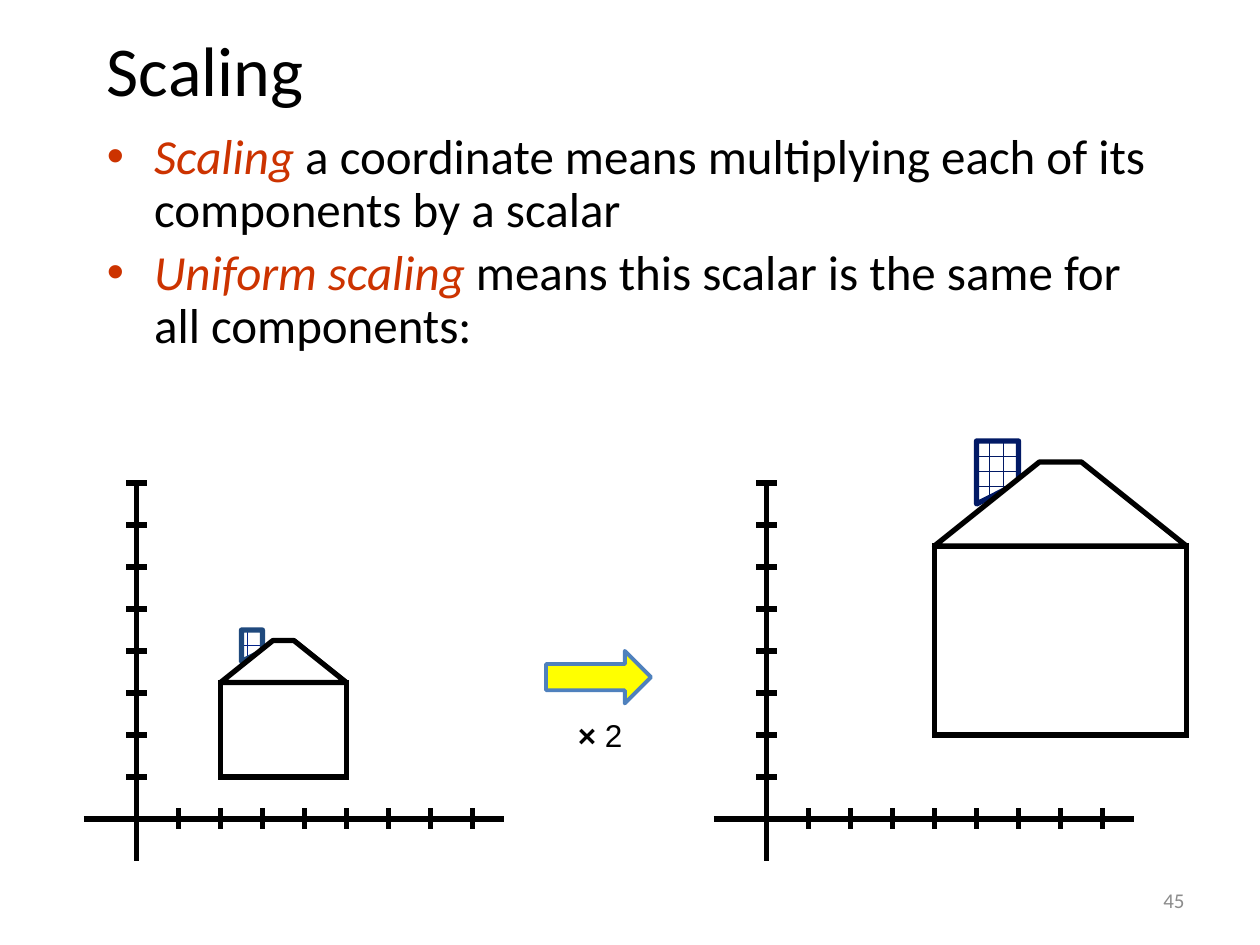
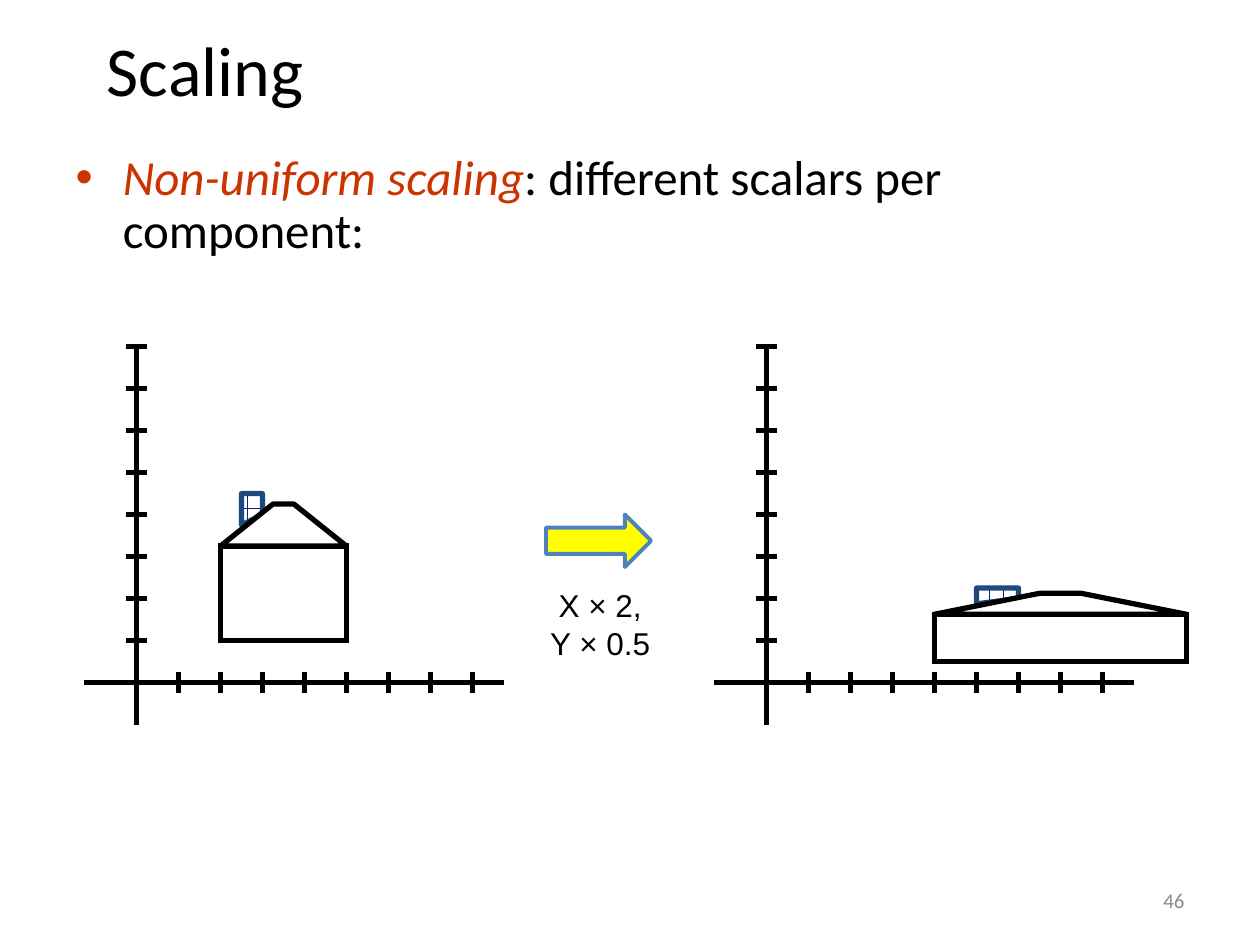
from dataclasses import dataclass
from typing import NamedTuple

from lxml.etree import SubElement
from pptx import Presentation
from pptx.dml.color import RGBColor
from pptx.dml.fill import FillFormat
from pptx.enum.dml import MSO_PATTERN
from pptx.enum.shapes import MSO_CONNECTOR, MSO_SHAPE
from pptx.enum.text import MSO_ANCHOR, MSO_AUTO_SIZE, PP_ALIGN
from pptx.oxml.ns import qn
from pptx.util import Cm, Pt


@dataclass(frozen=True)
class Theme:
    black: str = "000000"
    white: str = "FFFFFF"
    accent: str = "CC3300"
    yellow: str = "FFFF00"
    blue: str = "4F81BD"
    navy: str = "1F497D"
    brick: str = "032389"
    dark: str = "011965"
    grey: str = "8C8C8C"
    body: str = "Calibri"
    label: str = "Arial"
    title_pt: int = 40
    list_pt: int = 28
    label_pt: int = 18
    page_pt: int = 12
    line_pt: float = 3
    arrow_pt: float = 2.25


T = Theme()
UNIT = 2.54 / 3  # one tick of the axes, in cm
TICKS = 8


class Run(NamedTuple):
    text: str
    color: str = T.black
    bold: bool = False
    italic: bool = False


class Box(NamedTuple):
    left: float
    top: float
    width: float
    height: float

    def place(self) -> tuple:
        return tuple(Cm(n) for n in self)


class Grid(NamedTuple):
    """Axes with their origin in cm; points are given in ticks, y upward."""
    left: float
    base: float

    def spot(self, x: float, y: float) -> tuple:
        return Cm(self.left + x * UNIT), Cm(self.base - y * UNIT)


class House(NamedTuple):
    wide: float = 1
    high: float = 1
    brick: str = T.brick
    edge: str = T.navy


class Label(NamedTuple):
    lines: list
    width: float
    height: float


class Page(NamedTuple):
    number: int
    body: Box
    inset: float
    points: list
    base: float
    scaled: House
    label: Label


# House outline in ticks, before scaling
WALL = [(2, 3.25), (5, 1)]
ROOF = [(2, 3.25), (3.25, 4.25), (3.75, 4.25), (5, 3.25)]
STACK = [(2.5, 3.75), (2.5, 4.5), (3, 4.5), (3, 4)]


def rgb(color: str) -> RGBColor:
    return RGBColor.from_string(color)


def paint(fill: FillFormat, color: str) -> None:
    fill.solid()
    fill.fore_color.rgb = rgb(color)


def edge(shape, color: str, width: float = T.line_pt) -> None:
    shape.shadow.inherit = False
    paint(shape.line.fill, color)
    shape.line.width = Pt(width)


def write(par, runs: list, size: int, font: str = T.body) -> None:
    for item in runs:
        run = par.add_run()
        run.text = item.text
        run.font.name = font
        run.font.size = Pt(size)
        run.font.bold = item.bold
        run.font.italic = item.italic
        run.font.color.rgb = rgb(item.color)


def move(shape, box: Box) -> None:
    shape.left, shape.top, shape.width, shape.height = box.place()


def draw_title(slide) -> None:
    title = slide.shapes.title
    move(title, Box(1.9, 0.21, 21.59, 2.33))
    frame = title.text_frame
    frame.auto_size = MSO_AUTO_SIZE.NONE
    frame.vertical_anchor = MSO_ANCHOR.MIDDLE
    par = frame.paragraphs[0]
    par.alignment = PP_ALIGN.LEFT
    write(par, [Run("Scaling")], T.title_pt)


def draw_list(slide, page: Page) -> None:
    body = slide.placeholders[1]
    move(body, page.body)
    frame = body.text_frame
    frame.auto_size = MSO_AUTO_SIZE.NONE
    frame.margin_top = Cm(page.inset)
    for i, runs in enumerate(page.points):
        par = frame.add_paragraph() if i else frame.paragraphs[0]
        par.line_spacing = 0.9
        par.space_before = Pt(0.2 * T.list_pt if i else 0)
        write(par, runs, T.list_pt)


def draw_line(slide, start: tuple, end: tuple) -> None:
    line = slide.shapes.add_connector(MSO_CONNECTOR.STRAIGHT, *start, *end)
    SubElement(line._element.spPr, qn("a:effectLst"))
    line.line.width = Pt(T.line_pt)
    line.line.color.rgb = rgb(T.black)


def draw_axes(slide, grid: Grid) -> None:
    marks = [((0, TICKS), (0, -1)), ((-1.25, 0), (8.75, 0))]
    for n in range(1, TICKS + 1):
        marks.append(((n, 0.25), (n, -0.25)))
        marks.append(((-0.25, n), (0.25, n)))
    for start, end in marks:
        draw_line(slide, grid.spot(*start), grid.spot(*end))


def draw_house(slide, grid: Grid, house: House) -> None:
    def scale(points: list) -> list:
        return [grid.spot(x * house.wide, y * house.high) for x, y in points]

    def trace(points: list):
        first, *rest = scale(points)
        pen = slide.shapes.build_freeform(*first)
        pen.add_line_segments(rest, close=True)
        return pen.convert_to_shape()

    # Chimney
    stack = trace(STACK)
    edge(stack, house.edge)
    stack.fill.patterned()
    stack.fill.pattern = MSO_PATTERN.HORIZONTAL_BRICK
    stack.fill.fore_color.rgb = rgb(house.brick)
    stack.fill.back_color.rgb = rgb(T.white)

    # Wall, with sharp corners
    (left, top), (right, foot) = scale(WALL)
    wall = slide.shapes.add_shape(
        MSO_SHAPE.RECTANGLE, left, top, right - left, foot - top)
    edge(wall, T.black)
    SubElement(wall._element.spPr.find(qn("a:ln")), qn("a:miter"), lim="800000")

    # Roof
    roof = trace(ROOF)
    edge(roof, T.black)
    for part in (wall, roof):
        paint(part.fill, T.white)


def add_text(slide, box: Box):
    frame = slide.shapes.add_textbox(*box.place()).text_frame
    frame.vertical_anchor = MSO_ANCHOR.MIDDLE
    return frame


def draw_arrow(slide, base: float, label: Label) -> None:
    top = base - 4 * UNIT
    high = 1.25 * UNIT
    box = Box(13 * UNIT, top, 2.5 * UNIT, high)
    arrow = slide.shapes.add_shape(MSO_SHAPE.RIGHT_ARROW, *box.place())
    edge(arrow, T.blue, T.arrow_pt)
    paint(arrow.fill, T.yellow)

    # Scale factor below the arrow
    left = 12.1 - label.width / 2
    frame = add_text(slide, Box(left, top + high, label.width, label.height))
    frame.word_wrap = False
    par = frame.paragraphs[0]
    par.alignment = PP_ALIGN.CENTER
    for i, runs in enumerate(label.lines):
        if i:
            par.add_line_break()
        write(par, runs, T.label_pt, T.label)


def draw_number(slide, number: int) -> None:
    frame = add_text(slide, Box(18.2, 17.65, 5.93, 1.01))
    frame.word_wrap = True
    par = frame.paragraphs[0]
    par.alignment = PP_ALIGN.RIGHT
    write(par, [Run(str(number), T.grey)], T.page_pt)


def draw_page(deck, page: Page) -> None:
    slide = deck.slides.add_slide(deck.slide_layouts[1])
    draw_title(slide)
    draw_list(slide, page)
    for left, house in ((3.25, House()), (18.25, page.scaled)):
        grid = Grid(left * UNIT, page.base)
        draw_axes(slide, grid)
        draw_house(slide, grid, house)
    draw_arrow(slide, page.base, page.label)
    draw_number(slide, page.number)


def term(text: str) -> Run:
    return Run(text, T.accent, italic=True)


PAGES = [
    Page(
        45, Box(1.9, 2.54, 21.59, 6.65), 0.13,
        [[term("Scaling"),
          Run(" a coordinate means multiplying each of its components by a scalar")],
         [term("Uniform scaling"),
          Run(" means this scalar is the same for all components:")]],
        16.51, House(2, 2, T.dark, T.dark),
        Label([[Run("× ", bold=True), Run("2")]], 1.6, 1.27)),
    Page(
        46, Box(1.27, 2.75, 22.86, 14.27), 0.33,
        [[term("Non-uniform scaling"),
          Run(": different scalars per component:")]],
        13.76, House(2, 0.5),
        Label([[Run("X × 2,")], [Run("Y × 0.5")]], 2.72, 2.29)),
]


def main() -> None:
    deck = Presentation()
    deck.slide_width, deck.slide_height = Cm(25.4), Cm(19.05)
    for page in PAGES:
        draw_page(deck, page)
    deck.save("out.pptx")


if __name__ == "__main__":
    main()
